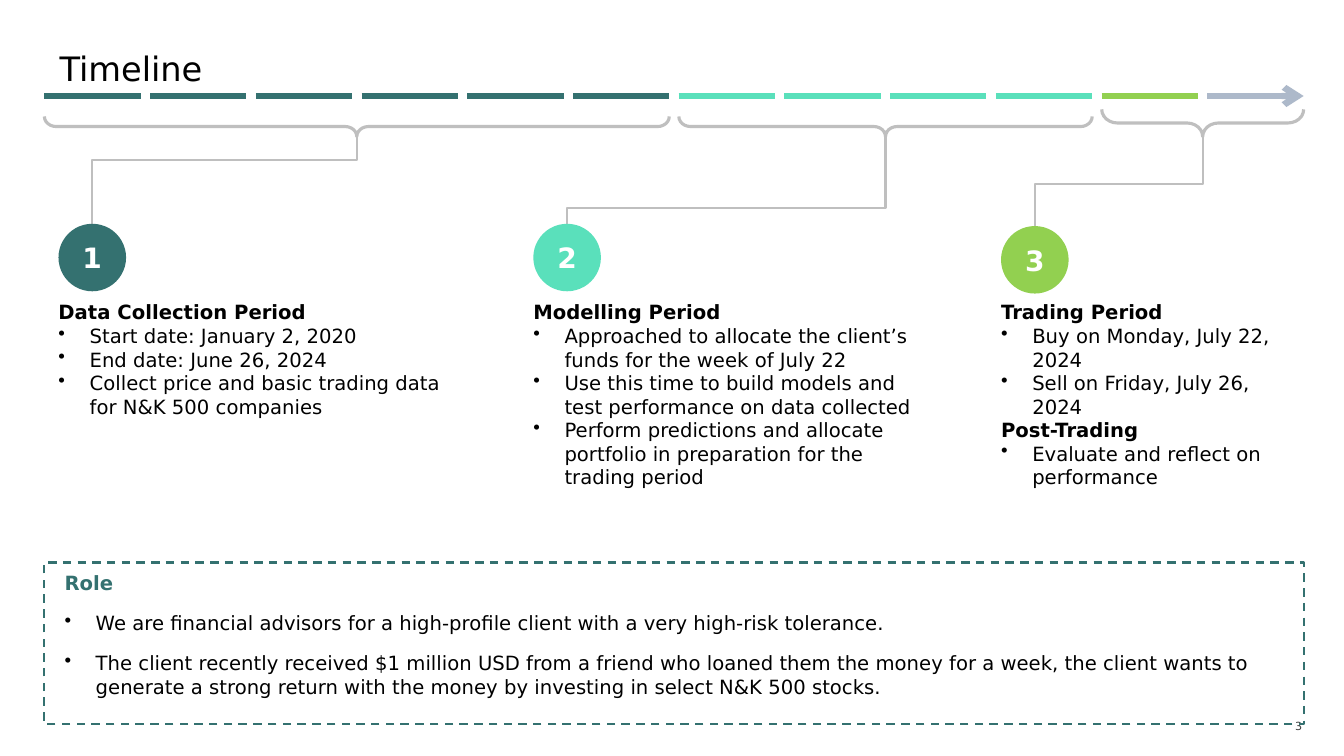
import dataclasses

import lxml.etree
import pptx
import pptx.dml.color
import pptx.enum.dml
import pptx.enum.shapes
import pptx.enum.text
import pptx.oxml.ns
import pptx.util

SHAPE = pptx.enum.shapes.MSO_SHAPE
CONNECTOR = pptx.enum.shapes.MSO_CONNECTOR
ALIGN = pptx.enum.text.PP_ALIGN
ANCHOR = pptx.enum.text.MSO_ANCHOR
SLIDE_WIDTH = pptx.util.Inches(13.33)
SLIDE_HEIGHT = pptx.util.Inches(7.5)


@dataclasses.dataclass(frozen=True)
class Theme:
    font: str = "DejaVu Sans"
    text: str = "000000"
    white: str = "FFFFFF"
    muted: str = "404040"
    guide: str = "BFBFBF"
    collect: str = "347170"
    model: str = "5AE0BB"
    trade: str = "92D050"
    after: str = "ADB9CA"
    title_size: int = 24
    badge_size: int = 20
    body_size: int = 14
    number_size: int = 8


THEME = Theme()

# Lengths below are percentages of the slide's width and height
BAND_LEFT, BAND_WIDTH, BAND_TOP = 3.3, 93.7, 12.7
SEGMENTS, SEGMENT_WIDTH = 12, 7.16
PITCH = (BAND_WIDTH - SEGMENT_WIDTH) / (SEGMENTS - 1)
BRACE_TIP = 18.07
BADGE_WIDTH, BADGE_HEIGHT = 5.03, 8.93
TEXT_TOP = 39.73

# A line that starts with "•" is a bullet; any other line is a heading
PHASES = [
    dict(color=THEME.collect, first=0, count=6, brace_depth=2.67, turn=0.735,
         box=(4.35, 29.6, 29.7, 25.9), lines=[
             "Data Collection Period",
             "•Start date: January 2, 2020",
             "•End date: June 26, 2024",
             "•Collect price and basic trading data for N&K 500 companies"]),
    dict(color=THEME.model, first=6, count=4, brace_depth=2.67, turn=0.179,
         box=(39.68, 29.6, 29.1, 35.2), lines=[
             "Modelling Period",
             "•Approached to allocate the client’s funds for the week of July 22",
             "•Use this time to build models and test performance on data collected",
             "•Perform predictions and allocate portfolio in preparation for the trading period"]),
    dict(color=THEME.trade, first=10, count=2, brace_depth=3.6, turn=0.466,
         box=(74.48, 29.9, 21.83, 34.9), lines=[
             "Trading Period",
             "•Buy on Monday, July 22, 2024",
             "•Sell on Friday, July 26, 2024",
             "Post-Trading",
             "•Evaluate and reflect on performance"]),
]
ROLE_LINES = [
    "Role",
    "•We are financial advisors for a high-profile client with a very high-risk tolerance.",
    "•The client recently received $1 million USD from a friend who loaned them the money "
    "for a week, the client wants to generate a strong return with the money by investing "
    "in select N&K 500 stocks.",
]


def across(share):
    return round(SLIDE_WIDTH * share / 100)


def down(share):
    return round(SLIDE_HEIGHT * share / 100)


def place(box):
    left, top, width, height = box
    return across(left), down(top), across(width), down(height)


def rgb(color):
    return pptx.dml.color.RGBColor.from_string(color)


def apply(target, values):
    for name, value in values.items():
        setattr(target, name, value)


def set_frame(frame, anchor=ANCHOR.TOP, side=0, edge=0):
    apply(frame, dict(word_wrap=True, vertical_anchor=anchor,
                      auto_size=pptx.enum.text.MSO_AUTO_SIZE.NONE,
                      margin_left=side, margin_right=side,
                      margin_top=edge, margin_bottom=edge))


def write(para, text, size, color=THEME.text, bold=False, **layout):
    apply(para, dict(alignment=ALIGN.LEFT) | layout)
    span = para.add_run()
    span.text = text
    apply(span.font, dict(name=THEME.font, size=pptx.util.Pt(size), bold=bold))
    span.font.color.rgb = rgb(color)


def add_bullet(para):
    props = para._p.get_or_add_pPr()
    indent = pptx.util.Inches(0.31)
    props.set("marL", str(indent))
    props.set("indent", str(-indent))
    lxml.etree.SubElement(props, pptx.oxml.ns.qn("a:buChar")).set("char", "•")


def write_lines(frame, lines, heading_color=THEME.text, **layout):
    for index, line in enumerate(lines):
        para = frame.add_paragraph() if index else frame.paragraphs[0]
        bullet = line.startswith("•")
        if bullet:
            add_bullet(para)
        write(para, line.removeprefix("•"), THEME.body_size,
              THEME.text if bullet else heading_color, not bullet, **layout)


def add_line(shapes, kind, start, end, color, width):
    line = shapes.add_connector(kind, *start, *end)
    line.line.color.rgb = rgb(color)
    line.line.width = pptx.util.Pt(width)
    lxml.etree.SubElement(line._element.spPr, pptx.oxml.ns.qn("a:effectLst"))
    return line


def add_outline(page, kind, box, color, width):
    shape = page.shapes.add_shape(kind, *box)
    shape.shadow.inherit = False
    shape.fill.background()
    shape.line.color.rgb = rgb(color)
    shape.line.width = pptx.util.Pt(width)
    return shape


def add_title(page, box):
    title = page.shapes.title
    apply(title, dict(zip(("left", "top", "width", "height"), place(box))))
    set_frame(title.text_frame)
    write(title.text_frame.paragraphs[0], "Timeline", THEME.title_size, line_spacing=0.8)


def add_band(page):
    colors = [phase["color"] for phase in PHASES for _ in range(phase["count"])]
    colors[-1] = THEME.after
    band = page.shapes.add_group_shape()
    for index, color in enumerate(colors):
        left = BAND_LEFT + index * PITCH
        segment = add_line(band.shapes, CONNECTOR.STRAIGHT, (across(left), down(BAND_TOP)),
                           (across(left + SEGMENT_WIDTH), down(BAND_TOP)), color, 4.5)
    # Arrowhead on the last segment
    outline = segment.line._get_or_add_ln()
    lxml.etree.SubElement(outline, pptx.oxml.ns.qn("a:tailEnd")).set("type", "arrow")


def add_brace(page, phase):
    """Draw the brace under a phase's segments and return its middle."""
    left = across(BAND_LEFT + phase["first"] * PITCH)
    span = across((phase["count"] - 1) * PITCH + SEGMENT_WIDTH)
    depth, middle = down(phase["brace_depth"]), left + span // 2
    center = down(BRACE_TIP) - depth // 2
    box = (middle - depth // 2, center - span // 2, depth, span)
    brace = add_outline(page, SHAPE.RIGHT_BRACE, box, THEME.guide, 2.25)
    brace.rotation = 90
    brace.adjustments[0] = 0.578
    return middle


def add_elbow(page, start, end, turn):
    """Join two points by an elbow that leaves upwards and turns at a share of the rise."""
    rise, run = start[1] - end[1], end[0] - start[0]
    center_x, center_y = (start[0] + end[0]) // 2, (start[1] + end[1]) // 2
    elbow = add_line(page.shapes, CONNECTOR.ELBOW,
                     (center_x + rise // 2, center_y + run // 2),
                     (center_x - rise // 2, center_y - run // 2), THEME.guide, 1.5)
    props = elbow._element.spPr
    props.find(pptx.oxml.ns.qn("a:xfrm")).set("rot", str(90 * 60000))
    guides = props.find(pptx.oxml.ns.qn("a:prstGeom")).get_or_add_avLst()
    guide = lxml.etree.SubElement(guides, pptx.oxml.ns.qn("a:gd"))
    guide.set("name", "adj1")
    guide.set("fmla", f"val {round(turn * 100000)}")


def add_phase(page, number, phase):
    left, top, width, height = phase["box"]
    # Brace and the elbow down to the badge
    middle = add_brace(page, phase)
    add_elbow(page, (across(left + BADGE_WIDTH / 2), down(top)),
              (middle, down(BRACE_TIP)), phase["turn"])
    # Numbered badge
    badge = page.shapes.add_shape(SHAPE.OVAL, *place((left, top, BADGE_WIDTH, BADGE_HEIGHT)))
    badge.shadow.inherit = False
    badge.fill.solid()
    badge.fill.fore_color.rgb = rgb(phase["color"])
    badge.line.fill.background()
    set_frame(badge.text_frame, ANCHOR.MIDDLE)
    write(badge.text_frame.paragraphs[0], str(number), THEME.badge_size, THEME.white, True,
          alignment=ALIGN.CENTER)
    # Description
    text = page.shapes.add_textbox(*place((left, TEXT_TOP, width, top + height - TEXT_TOP)))
    set_frame(text.text_frame)
    write_lines(text.text_frame, phase["lines"])


def add_role(page, box):
    role = add_outline(page, SHAPE.RECTANGLE, place(box), THEME.collect, 1.5)
    role.line.dash_style = pptx.enum.dml.MSO_LINE.DASH
    set_frame(role.text_frame, side=across(1.5), edge=down(1.07))
    write_lines(role.text_frame, ROLE_LINES, THEME.collect, space_after=pptx.util.Pt(12))


def add_page_number(page, box):
    number = page.shapes.add_textbox(*place(box))
    set_frame(number.text_frame, ANCHOR.MIDDLE)
    write(number.text_frame.paragraphs[0], "3", THEME.number_size, THEME.muted,
          alignment=ALIGN.RIGHT, space_after=pptx.util.Pt(12))


def main():
    deck = pptx.Presentation()
    apply(deck, dict(slide_width=SLIDE_WIDTH, slide_height=SLIDE_HEIGHT))
    page = deck.slides.add_slide(deck.slide_layouts.get_by_name("Title Only"))
    add_page_number(page, (93.75, 94.53, 3.15, 3.07))
    add_band(page)
    for number, phase in enumerate(PHASES, 1):
        add_phase(page, number, phase)
    add_role(page, (BAND_LEFT, 74.4, BAND_WIDTH, 21.4))
    add_title(page, (4.43, 7.33, BAND_WIDTH, 7.07))
    deck.save("out.pptx")


if __name__ == "__main__":
    main()
